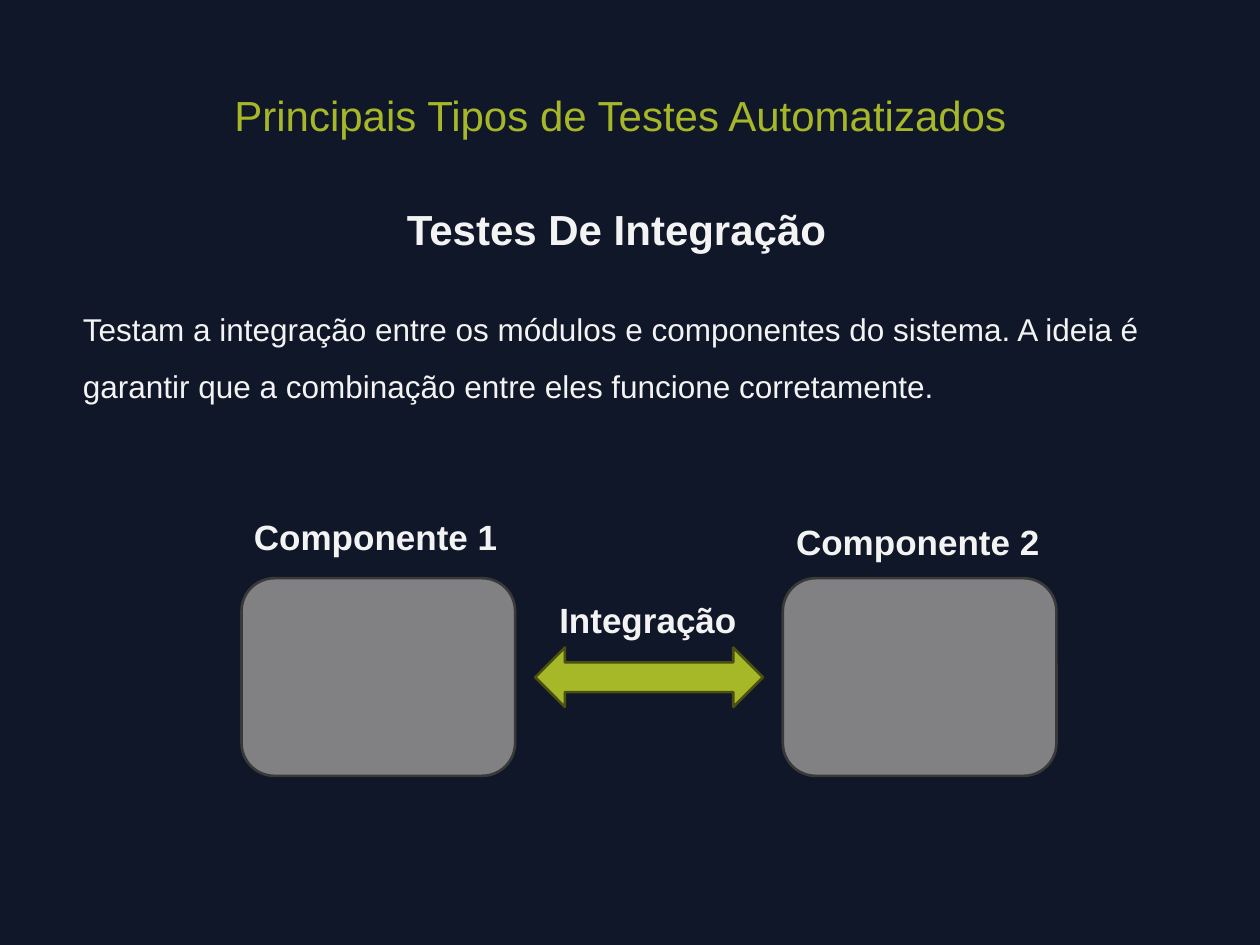
from dataclasses import dataclass

import pptx
import pptx.dml.color
import pptx.enum.shapes
import pptx.enum.text
import pptx.util

Pt = pptx.util.Pt
SHAPES = pptx.enum.shapes.MSO_SHAPE
BACKGROUND, LIME, WHITE = "101728", "A6B727", "F3F3F3"


@dataclass
class Box:
    left: float
    top: float
    width: float
    height: float

    def lengths(self) -> tuple:
        return Pt(self.left), Pt(self.top), Pt(self.width), Pt(self.height)


@dataclass
class Component:
    label: str
    label_box: Box
    left: float


def paint(color_holder, color: str) -> None:
    color_holder.solid()
    color_holder.fore_color.rgb = pptx.dml.color.RGBColor.from_string(color)


def write(holder, text: str, *, size: float, color: str = WHITE, bold: bool = False,
          wrap: bool = False, line_spacing: float = 1.0, after: float = 0) -> None:
    frame = holder.text_frame
    frame.text = text
    frame.word_wrap = wrap
    frame.auto_size = pptx.enum.text.MSO_AUTO_SIZE.SHAPE_TO_FIT_TEXT
    frame.vertical_anchor = pptx.enum.text.MSO_ANCHOR.TOP
    paragraph = frame.paragraphs[0]
    paragraph.alignment = pptx.enum.text.PP_ALIGN.LEFT
    paragraph.line_spacing = line_spacing
    paragraph.space_after = Pt(after)
    font = paragraph.runs[0].font
    font.name, font.size, font.bold = "Arial", Pt(size), bold
    paint(font.fill, color)


def add_text(slide, box: Box, text: str, **text_format) -> None:
    write(slide.shapes.add_textbox(*box.lengths()), text, **text_format)


def add_figure(slide, preset, box: Box, fill: str, outline: str) -> None:
    figure = slide.shapes.add_shape(preset, *box.lengths())
    figure.shadow.inherit = False
    paint(figure.fill, fill)
    paint(figure.line.fill, outline)
    figure.line.width = Pt(1.5)


def add_component(slide, component: Component) -> None:
    box = Box(component.left, 330.4, 156.4, 113)
    add_figure(slide, SHAPES.ROUNDED_RECTANGLE, box, "818183", "393939")
    add_text(slide, component.label_box, component.label, size=20, bold=True, after=12)


def main() -> None:
    presentation = pptx.Presentation()
    presentation.slide_width, presentation.slide_height = Pt(720), Pt(540)
    slide = presentation.slides.add_slide(presentation.slide_layouts[5])
    paint(slide.background.fill, BACKGROUND)

    title = slide.shapes.title
    title.left, title.top, title.width, title.height = Box(126.7, 47.5, 467.3, 36).lengths()
    write(title, "Principais Tipos de Testes Automatizados", size=24, color=LIME)

    add_text(slide, Box(225.4, 113, 263.5, 36), "Testes De Integração",
             size=24, bold=True, after=12)
    add_text(slide, Box(40.3, 162.7, 622, 68.4),
             "Testam a integração entre os módulos e componentes do sistema. A ideia é "
             "garantir que a combinação entre eles funcione corretamente.",
             size=18, wrap=True, line_spacing=1.5, after=6)

    components = [
        Component("Componente 1", Box(138, 290.9, 154.8, 31.7), 138),
        Component("Componente 2", Box(447.8, 293.8, 154.8, 31.7), 447.3),
    ]
    for component in components:
        add_component(slide, component)

    add_figure(slide, SHAPES.LEFT_RIGHT_ARROW, Box(305.8, 370, 130.2, 34), LIME, "495011")
    add_text(slide, Box(312.5, 338.4, 116.6, 31.7), "Integração", size=20, bold=True, after=12)

    presentation.save("out.pptx")


if __name__ == "__main__":
    main()
